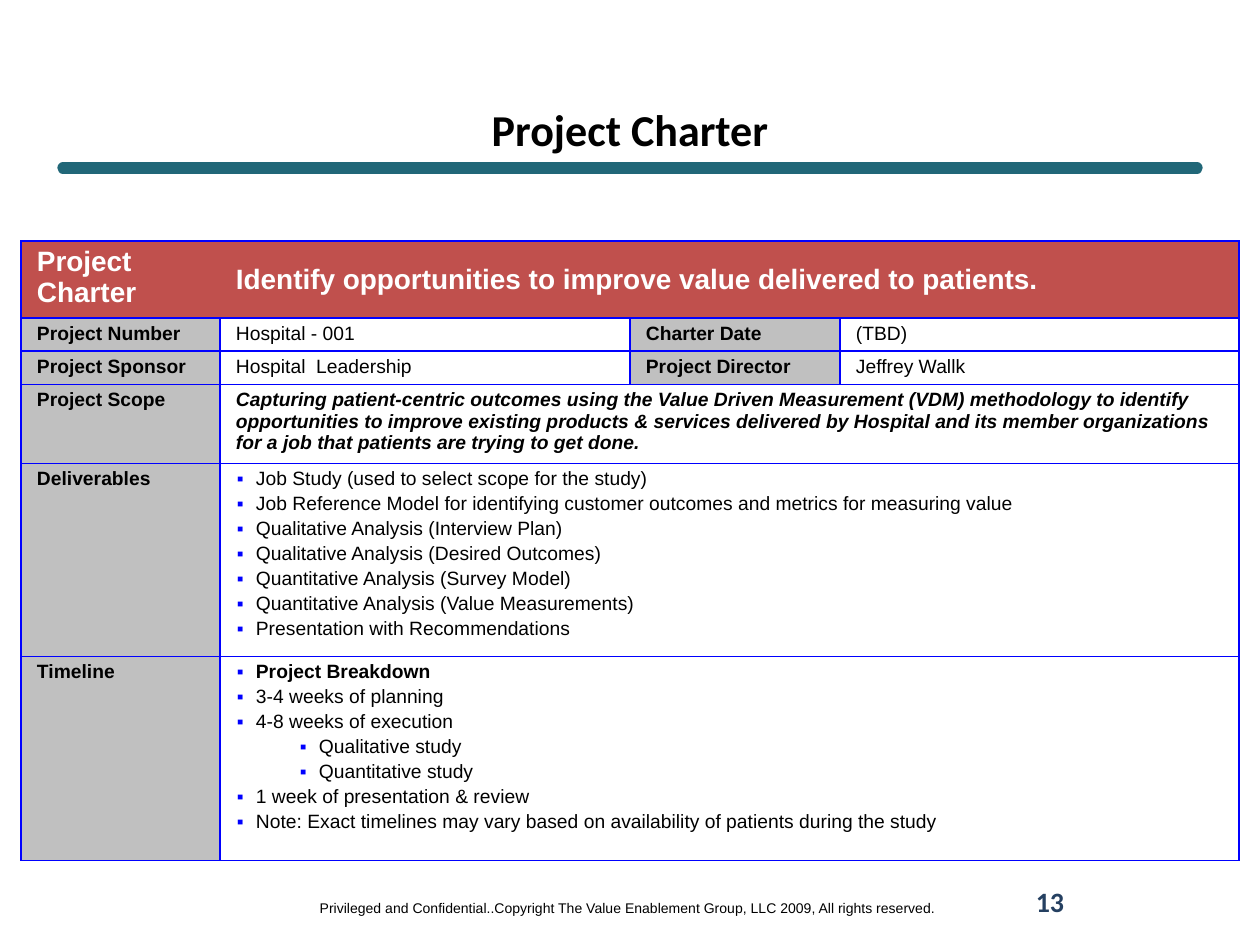
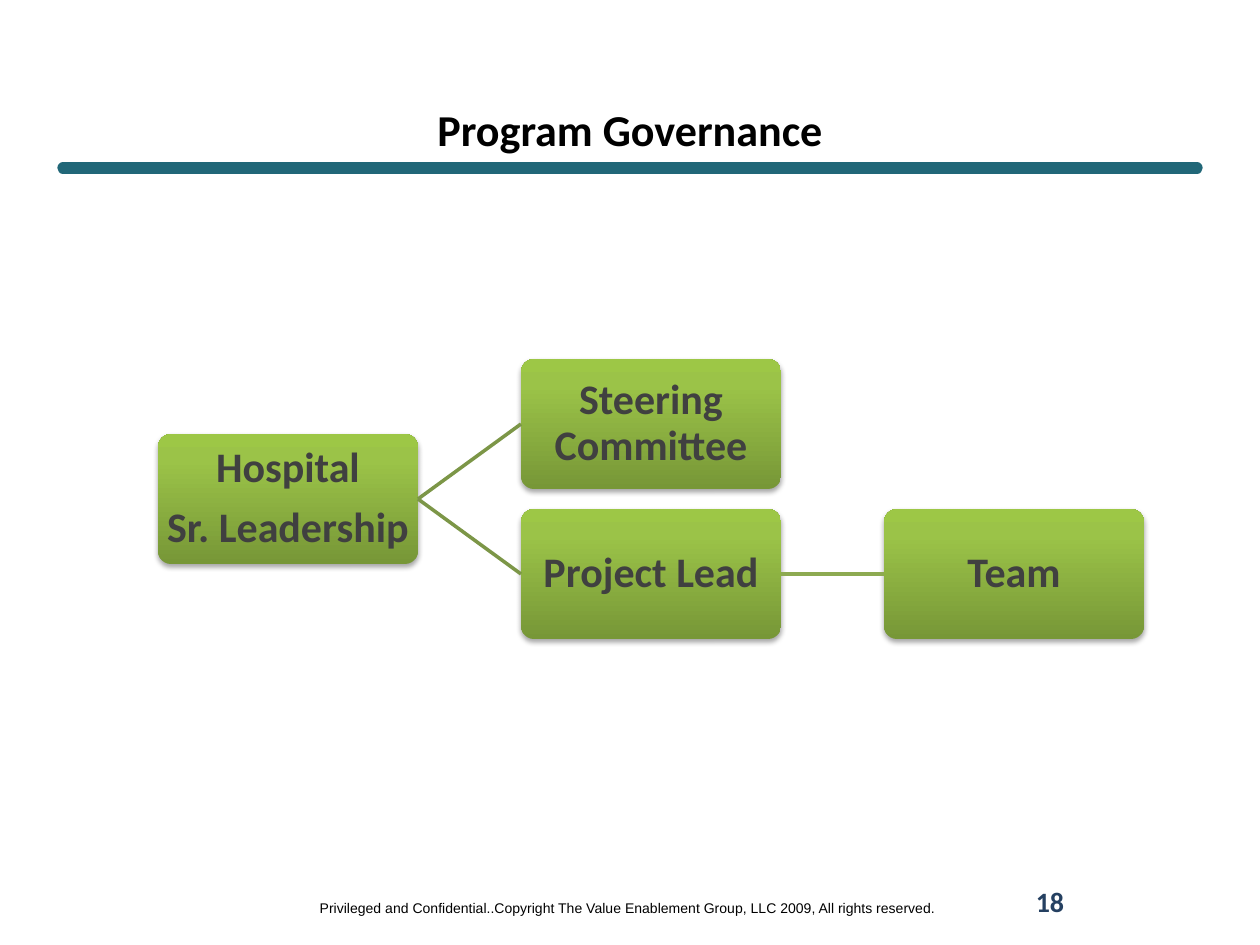
from dataclasses import dataclass, replace

from lxml.etree import SubElement
from pptx import Presentation
from pptx.dml.color import RGBColor
from pptx.enum.shapes import MSO_CONNECTOR as Link, MSO_SHAPE as Preset
from pptx.enum.text import MSO_ANCHOR as Anchor, PP_ALIGN as Align
from pptx.oxml.ns import qn
from pptx.util import Emu, Pt

PX = 914400 / 126

COLORS = {
    "ink": "000000",
    "white": "FFFFFF",
    "rule": "216778",
    "page": "254061",
    "header": "C0504D",
    "label": "C0C0C0",
    "border": "0000FF",
    "node_text": "404040",
    "node_dark": "779737",
    "node_mid": "9BC348",
    "node_light": "9DC746",
    "branch": "7C9647",
    "twig": "8DAA51",
}

FOOTER = ("Privileged and Confidential..Copyright The Value Enablement Group, "
          "LLC 2009, All rights reserved.")


@dataclass(frozen=True)
class Style:
    size: float
    color: str = "ink"
    font: str = "Arial"
    bold: bool = False
    italic: bool = False


@dataclass(frozen=True)
class Box:
    left: int
    top: int
    width: int
    height: int

    def emu(self) -> tuple:
        return tuple(px(n) for n in (self.left, self.top, self.width, self.height))


@dataclass(frozen=True)
class Entry:
    """One table cell; each item is a bullet of the given level."""
    text: str = ""
    style: Style = Style(11)
    fill: str = ""
    span: int = 1
    items: tuple = ()


@dataclass(frozen=True)
class Node:
    text: str
    column: int
    half_row: int

    @property
    def box(self) -> Box:
        return Box(158 + 363 * self.column, 359 + 75 * self.half_row, 260, 130)


TITLE = Style(25.2, font="Calibri", bold=True)
PAGE = Style(16, "page", "Calibri", bold=True)
SMALL = Style(8)
BODY = Style(11)
STRONG = replace(BODY, bold=True)
SCOPE = replace(STRONG, italic=True)
HEADER = Style(16, "white", bold=True)
NODE = Style(24, "node_text", "Calibri", bold=True)


def px(length: float) -> Emu:
    return Emu(round(length * PX))


def rgb(name: str) -> RGBColor:
    return RGBColor.from_string(COLORS[name])


def add_color(parent, name: str):
    return SubElement(parent, qn("a:srgbClr"), val=COLORS[name])


def style_paragraph(paragraph, style: Style) -> None:
    for run in paragraph.runs:
        font = run.font
        font.size = Pt(style.size)
        font.name = style.font
        font.bold = style.bold
        font.italic = style.italic
        font.color.rgb = rgb(style.color)


def fill_frame(frame, text: str, style: Style, align=Align.LEFT) -> None:
    frame.text = text
    for paragraph in frame.paragraphs:
        paragraph.alignment = align
        style_paragraph(paragraph, style)


def add_label(slide, text: str, box: Box, style: Style,
              anchor=Anchor.MIDDLE, wrap: bool = True) -> None:
    frame = slide.shapes.add_textbox(*box.emu()).text_frame
    frame.word_wrap = wrap
    frame.vertical_anchor = anchor
    fill_frame(frame, text, style, Align.CENTER)


def add_line(slide, start: tuple, end: tuple, color: str, width: float):
    line = slide.shapes.add_connector(Link.STRAIGHT, *(px(n) for n in start + end))
    line.line.color.rgb = rgb(color)
    line.line.width = Pt(width)
    SubElement(line._element.spPr, qn("a:effectLst"))
    return line


def add_page(deck, title: str, number: str):
    """Add a blank slide with the shared title, rule and footer."""
    slide = deck.slides.add_slide(deck.slide_layouts[6])
    rule = add_line(slide, (63, 168), (1197, 168), "rule", 6.5)
    rule.line._get_or_add_ln().set("cap", "rnd")
    add_label(slide, FOOTER, Box(303, 893, 650, 30), SMALL, Anchor.TOP, wrap=False)
    add_label(slide, title, Box(63, 105, 1134, 48), TITLE)
    add_label(slide, number, Box(903, 876, 294, 50), PAGE)
    return slide


def set_bullet(paragraph, level: int) -> None:
    paragraph.level = level
    props = paragraph._p.get_or_add_pPr()
    props.set("marL", str(px(20 + 63 * (level - 1))))
    props.set("indent", str(px(-19)))
    add_color(SubElement(props, qn("a:buClr")), "border")
    SubElement(props, qn("a:buFont"), typeface="Arial")
    SubElement(props, qn("a:buChar"), char="▪")


def set_borders(cell, hidden: str) -> None:
    """Draw the four cell sides except those named in hidden."""
    props = cell._tc.get_or_add_tcPr()
    for side in "LRTB":
        line = SubElement(props, qn(f"a:ln{side}"), w=str(Pt(1)))
        if side in hidden:
            SubElement(line, qn("a:noFill"))
        else:
            add_color(SubElement(line, qn("a:solidFill")), "border")


def fill_cell(cell, entry: Entry) -> None:
    cell.margin_left = cell.margin_right = px(16)
    cell.margin_top = cell.margin_bottom = px(5)
    if entry.fill:
        cell.fill.solid()
        cell.fill.fore_color.rgb = rgb(entry.fill)
    else:
        cell.fill.background()
    frame = cell.text_frame
    if not entry.items:
        fill_frame(frame, entry.text, entry.style)
        return
    frame.text = "\n".join(text for _, text, _ in entry.items)
    for index, (level, _, style) in enumerate(entry.items):
        paragraph = frame.paragraphs[index]
        if index:
            paragraph.space_before = Pt(2)
        set_bullet(paragraph, level)
        style_paragraph(paragraph, style)


def label(text: str) -> Entry:
    return Entry(text, STRONG, "label")


def bullets(*lines: str) -> tuple:
    return tuple((1, line, BODY) for line in lines)


CHARTER = (
    (Entry("Project Charter", HEADER, "header"),
     Entry("Identify opportunities to improve value delivered to patients.",
           HEADER, "header", span=3)),
    (label("Project Number"), Entry("Hospital - 001"),
     label("Charter Date"), Entry("(TBD)")),
    (label("Project Sponsor"), Entry("Hospital  Leadership"),
     label("Project Director"), Entry("Jeffrey Wallk")),
    (label("Project Scope"),
     Entry("Capturing patient-centric outcomes using the Value Driven Measurement (VDM) "
           "methodology to identify opportunities to improve existing products & services "
           "delivered by Hospital and its member organizations for a job that patients "
           "are trying to get done.", SCOPE, span=3)),
    (label("Deliverables"),
     Entry(span=3, items=bullets(
         "Job Study (used to select scope for the study)",
         "Job Reference Model for identifying customer outcomes and metrics for measuring value",
         "Qualitative Analysis (Interview Plan)",
         "Qualitative Analysis (Desired Outcomes)",
         "Quantitative Analysis (Survey Model)",
         "Quantitative Analysis (Value Measurements)",
         "Presentation with Recommendations"))),
    (label("Timeline"),
     Entry(span=3, items=(
         (1, "Project Breakdown", STRONG),
         *bullets("3-4 weeks of planning", "4-8 weeks of execution"),
         (2, "Qualitative study", BODY),
         (2, "Quantitative study", BODY),
         *bullets("1 week of presentation & review",
                  "Note: Exact timelines may vary based on availability of patients "
                  "during the study")))),
)
COLUMN_WIDTHS = (199, 410, 210, 399)
ROW_HEIGHTS = (73, 31, 32, 74, 186, 204)


def add_charter(slide) -> None:
    box = Box(21, 241, sum(COLUMN_WIDTHS), sum(ROW_HEIGHTS))
    table = slide.shapes.add_table(len(ROW_HEIGHTS), len(COLUMN_WIDTHS), *box.emu()).table
    table.first_row = table.horz_banding = False
    for column, width in zip(table.columns, COLUMN_WIDTHS):
        column.width = px(width)
    for row, height in zip(table.rows, ROW_HEIGHTS):
        row.height = px(height)
    for r, entries in enumerate(CHARTER):
        c = 0
        for entry in entries:
            cell = table.cell(r, c)
            if entry.span > 1:
                cell.merge(table.cell(r, c + entry.span - 1))
            header_gap = ("L" if c else "R") if r == 0 else ""
            for offset in range(entry.span):
                set_borders(table.cell(r, c + offset), header_gap)
            fill_cell(cell, entry)
            c += entry.span
    table.cell(0, 1).vertical_anchor = Anchor.MIDDLE


LEADERSHIP = Node("Hospital\nSr. Leadership", 0, 1)
COMMITTEE = Node("Steering Committee", 1, 0)
LEAD = Node("Project Lead", 1, 2)
TEAM = Node("Team", 2, 2)
REPORTING = ((LEADERSHIP, COMMITTEE, "branch"),
             (LEADERSHIP, LEAD, "branch"),
             (LEAD, TEAM, "twig"))


def add_node(slide, node: Node) -> None:
    shape = slide.shapes.add_shape(Preset.ROUNDED_RECTANGLE, *node.box.emu())
    shape.adjustments[0] = 0.1
    shape.line.fill.background()
    shape.fill.gradient()
    shape.fill.gradient_angle = 90
    props = shape._element.spPr
    stops = props.find(qn("a:gradFill")).find(qn("a:gsLst"))
    for stop in list(stops):
        stops.remove(stop)
    for percent, color in ((0, "node_dark"), (80, "node_mid"), (100, "node_light")):
        add_color(SubElement(stops, qn("a:gs"), pos=str(percent * 1000)), color)
    shape.shadow.inherit = False
    shadow = SubElement(props.find(qn("a:effectLst")), qn("a:outerShdw"),
                        blurRad=str(Pt(3.1)), dist=str(Pt(1.8)),
                        dir="5400000", rotWithShape="0")
    SubElement(add_color(shadow, "ink"), qn("a:alpha"), val="35000")

    frame = shape.text_frame
    frame.word_wrap = True
    frame.vertical_anchor = Anchor.MIDDLE
    frame.margin_left = frame.margin_right = px(3)
    frame.margin_top = frame.margin_bottom = px(3)
    fill_frame(frame, node.text, NODE, Align.CENTER)
    for paragraph in frame.paragraphs:
        paragraph.line_spacing = 0.9
        paragraph.space_after = Pt(8.4)


def add_governance(slide) -> None:
    for node in (LEADERSHIP, COMMITTEE, LEAD, TEAM):
        add_node(slide, node)
    for senior, junior, color in REPORTING:
        a, b = senior.box, junior.box
        add_line(slide, (a.left + a.width, a.top + a.height // 2),
                 (b.left, b.top + b.height // 2), color, 2)


def main() -> None:
    deck = Presentation()
    deck.slide_width, deck.slide_height = px(1260), px(945)
    add_charter(add_page(deck, "Project Charter", "13"))
    add_governance(add_page(deck, "Program Governance", "18"))
    deck.save("out.pptx")


if __name__ == "__main__":
    main()
